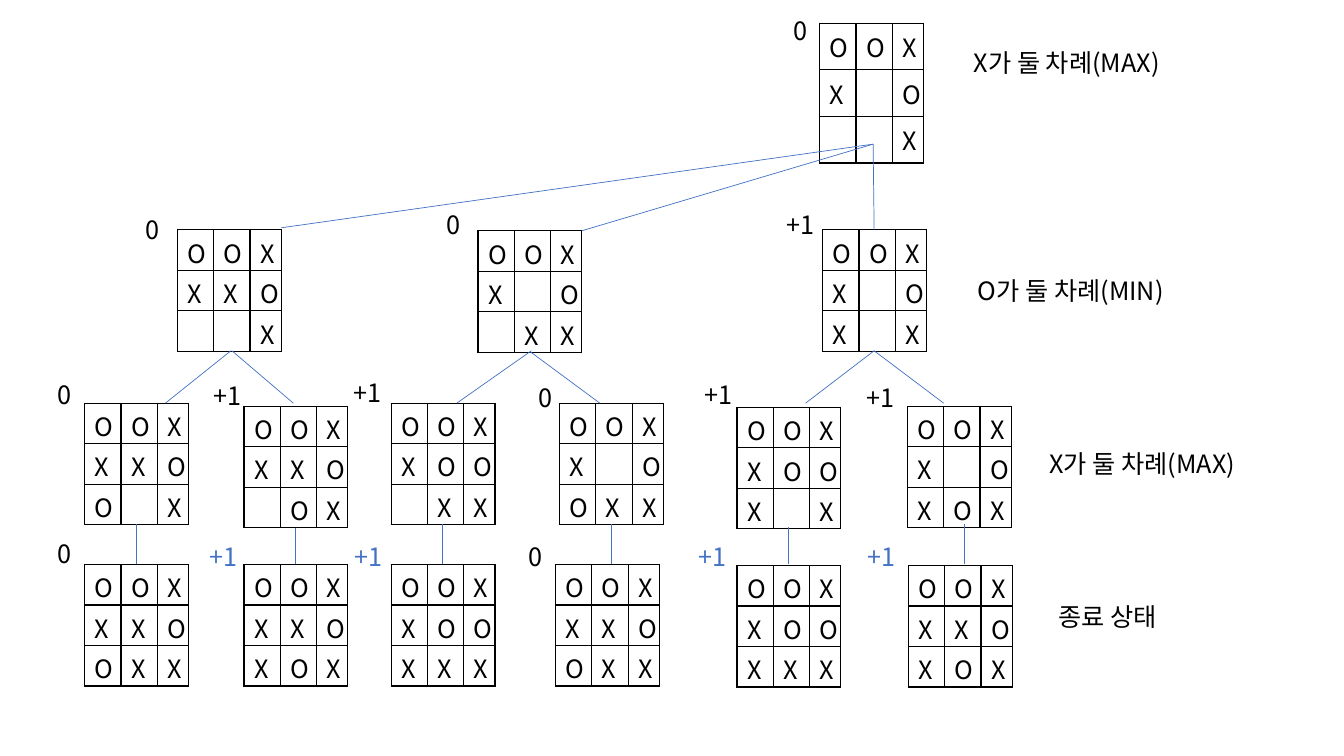
from dataclasses import dataclass
from typing import NamedTuple

from lxml.etree import SubElement
from pptx import Presentation
from pptx.dml.color import RGBColor
from pptx.enum.shapes import MSO_CONNECTOR
from pptx.enum.text import MSO_AUTO_SIZE
from pptx.oxml.ns import qn
from pptx.slide import Slide
from pptx.table import _Cell as Cell
from pptx.text.text import TextFrame
from pptx.util import Inches, Pt


@dataclass(frozen=True)
class Theme:
    font: str = "Noto Sans CJK KR"
    size: float = 18
    ink: str = "000000"
    accent: str = "4472C4"
    border: float = 1
    branch: float = 0.5


class Board(NamedTuple):
    """A game position; a dot marks an empty square."""
    left: float
    top: float
    marks: str
    row_height: float = 0.4
    margin_top: float = 0.04
    margin_bottom: float = 0


class Label(NamedTuple):
    left: float
    top: float
    width: float
    text: str
    color: str


class Branch(NamedTuple):
    x1: float
    y1: float
    x2: float
    y2: float


THEME = Theme()
INK, ACCENT = THEME.ink, THEME.accent
COLUMNS = (0.36, 0.36, 0.31)

BOARDS = [
    Board(8.13, 0.23, "OOX X.O ..X", 0.46, 0.05, 0.05),
    Board(1.76, 2.28, "OOX XXO ..X"),
    Board(4.74, 2.29, "OOX X.O .XX"),
    Board(8.16, 2.28, "OOX X.O X.X"),
    Board(0.84, 4, "OOX XXO O.X"),
    Board(2.42, 4.03, "OOX XXO .OX"),
    Board(3.88, 4, "OOX XOO .XX"),
    Board(5.55, 4, "OOX X.O OXX"),
    Board(7.31, 4.04, "OOX XOO X.X"),
    Board(9, 4.03, "OOX X.O XOX"),
    Board(0.84, 5.6, "OOX XXO OXX"),
    Board(2.42, 5.6, "OOX XXO XOX"),
    Board(3.88, 5.6, "OOX XOO XXX"),
    Board(5.51, 5.6, "OOX XXO OXX"),
    Board(7.31, 5.61, "OOX XOO XXX"),
    Board(9.01, 5.61, "OOX XXO XOX"),
]

BRANCHES = [
    Branch(8.66, 1.43, 2.79, 2.26),
    Branch(8.66, 1.43, 5.77, 2.29),
    Branch(8.66, 1.43, 8.67, 2.28),
    Branch(2.29, 3.48, 1.64, 4),
    Branch(2.3, 3.48, 2.91, 4),
    Branch(5.27, 3.48, 4.53, 4),
    Branch(5.26, 3.49, 5.95, 4),
    Branch(8.67, 3.48, 7.99, 4),
    Branch(8.67, 3.48, 9.36, 4),
    Branch(1.35, 5.2, 1.35, 5.6),
    Branch(2.93, 5.24, 2.93, 5.6),
    Branch(4.39, 5.2, 4.39, 5.6),
    Branch(6.06, 5.2, 6.06, 5.6),
    Branch(7.82, 5.23, 7.82, 5.6),
    Branch(9.56, 5.2, 9.56, 5.6),
]

TURNS = [
    Label(9.56, 0.42, 2.2, "X가 둘 차례(MAX)", INK),
    Label(9.6, 2.68, 2.2, "O가 둘 차례(MIN)", INK),
    Label(10.31, 4.4, 2.2, "X가 둘 차례(MAX)", INK),
    Label(10.4, 5.92, 2.2, "종료 상태", INK),
]

SCORES = [
    Label(7.77, 0.1, 0.43, "0", INK),
    Label(1.35, 2.08, 0.57, "0", INK),
    Label(4.33, 2.03, 0.49, "0", INK),
    Label(7.7, 2.03, 0.54, "+1", INK),
    Label(0.47, 3.71, 0.41, "0", INK),
    Label(2.02, 3.72, 0.55, "+1", INK),
    Label(3.41, 3.69, 0.55, "+1", INK),
    Label(5.24, 3.74, 0.37, "0", INK),
    Label(6.89, 3.71, 0.56, "+1", INK),
    Label(8.5, 3.74, 0.56, "+1", INK),
    Label(0.47, 5.29, 0.41, "0", INK),
    Label(1.98, 5.32, 0.56, "+1", ACCENT),
    Label(3.42, 5.32, 0.55, "+1", ACCENT),
    Label(5.14, 5.32, 0.41, "0", INK),
    Label(6.83, 5.32, 0.55, "+1", ACCENT),
    Label(8.51, 5.32, 0.56, "+1", ACCENT),
]


def write(tf: TextFrame, text: str, color: str) -> None:
    tf.text = text
    for r in tf.paragraphs[0].runs:
        r.font.size = Pt(THEME.size)
        r.font.name = THEME.font
        r.font.color.rgb = RGBColor.from_string(color)
        ea = SubElement(r.font._element, qn("a:ea"))
        ea.set("typeface", THEME.font)


def outline(cell: Cell) -> None:
    """Rule all four sides of a square and leave it unfilled."""
    tc_pr = cell._tc.get_or_add_tcPr()
    for side in ("lnL", "lnR", "lnT", "lnB"):
        ln = SubElement(tc_pr, qn(f"a:{side}"), w=str(Pt(THEME.border)))
        fill = SubElement(ln, qn("a:solidFill"))
        SubElement(fill, qn("a:srgbClr"), val=THEME.ink)
    cell.fill.background()


def add_board(s: Slide, board: Board) -> None:
    rows = board.marks.split()
    frame = s.shapes.add_table(
        len(rows), len(COLUMNS), Inches(board.left), Inches(board.top),
        Inches(sum(COLUMNS)), Inches(board.row_height * len(rows)))
    table = frame.table
    table.first_row = table.horz_banding = False
    for column, width in zip(table.columns, COLUMNS):
        column.width = Inches(width)
    for i, row in enumerate(rows):
        table.rows[i].height = Inches(board.row_height)
        for j, mark in enumerate(row):
            cell = table.cell(i, j)
            cell.margin_top = Inches(board.margin_top)
            cell.margin_bottom = Inches(board.margin_bottom)
            outline(cell)
            if mark != ".":
                write(cell.text_frame, mark, INK)


def add_branch(s: Slide, branch: Branch) -> None:
    line = s.shapes.add_connector(MSO_CONNECTOR.STRAIGHT, *map(Inches, branch))
    line.line.color.rgb = RGBColor.from_string(ACCENT)
    line.line.width = Pt(THEME.branch)
    SubElement(line._element.spPr, qn("a:effectLst"))


def add_label(s: Slide, label: Label) -> None:
    sp = s.shapes.add_textbox(Inches(label.left), Inches(label.top),
                              Inches(label.width), Inches(0.4))
    tf = sp.text_frame
    tf.word_wrap = True
    tf.auto_size = MSO_AUTO_SIZE.SHAPE_TO_FIT_TEXT
    write(tf, label.text, label.color)


def main() -> None:
    prs = Presentation()
    prs.slide_width, prs.slide_height = Inches(13.33), Inches(7.5)
    s = prs.slides.add_slide(prs.slide_layouts[6])
    for board in BOARDS:
        add_board(s, board)
    for branch in BRANCHES:
        add_branch(s, branch)
    for label in TURNS + SCORES:
        add_label(s, label)
    prs.save("out.pptx")


if __name__ == "__main__":
    main()
